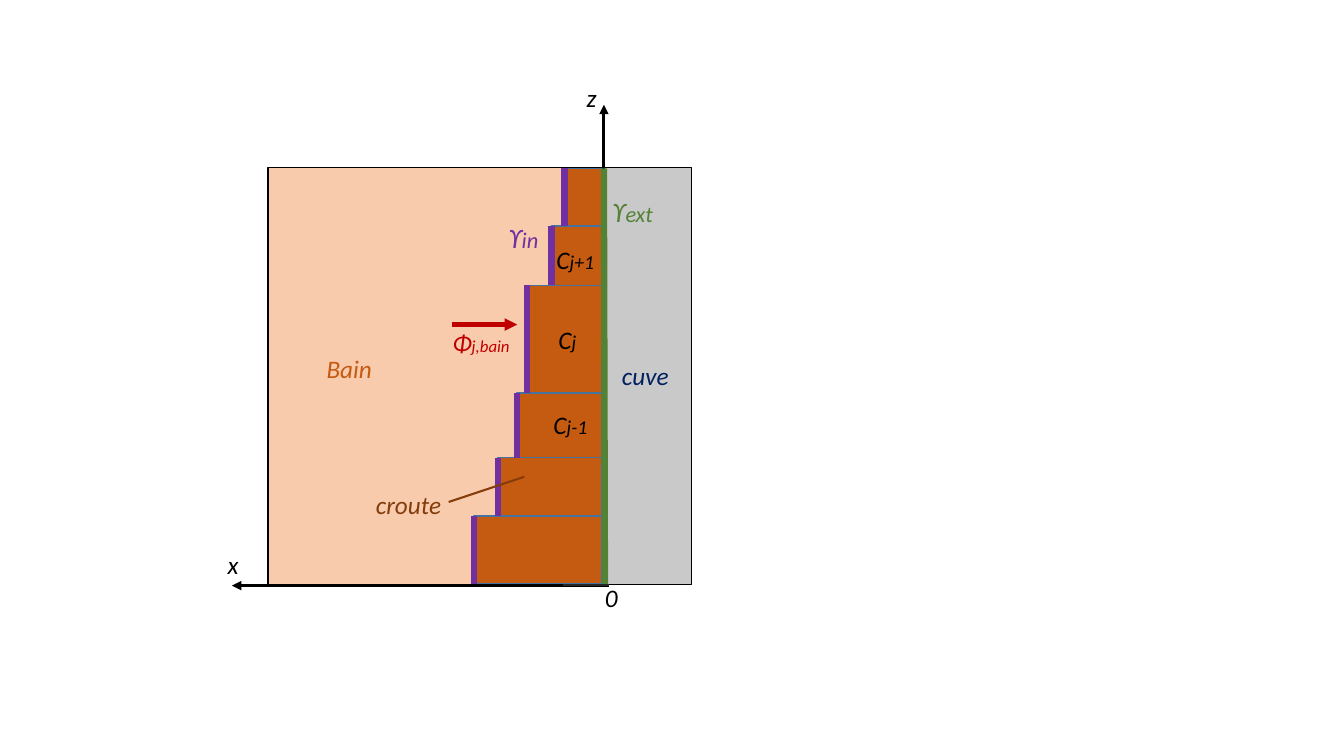
"""Build the slide showing the stepped crust between the bath and the tank wall."""
from itertools import pairwise

from lxml import etree
from pptx import Presentation
from pptx.dml.color import RGBColor
from pptx.enum import shapes, text
from pptx.oxml.ns import qn
from pptx.util import Inches, Pt

COLORS = {
    "black": "000000", "axis_end": "262626", "bath": "F8CBAD", "tank": "C9C9C9",
    "crust": "C55A11", "crust_edge": "43739E", "inner": "7030A0", "outer": "548235",
    "flux": "C00000", "tank_text": "002060", "crust_text": "843C0B",
}

presentation = Presentation()
presentation.slide_width = Inches(13.33)
presentation.slide_height = Inches(7.5)
slide = presentation.slides.add_slide(presentation.slide_layouts[6])


def add_rectangle(left, top, width, height, fill, edge):
    shape = slide.shapes.add_shape(
        shapes.MSO_SHAPE.RECTANGLE, Inches(left), Inches(top), Inches(width), Inches(height))
    shape.shadow.inherit = False
    shape.fill.solid()
    shape.fill.fore_color.rgb = RGBColor.from_string(COLORS[fill])
    shape.line.color.rgb = RGBColor.from_string(COLORS[edge])
    shape.line.width = Pt(1)


def add_line(start, end, color, width, arrow=False):
    line = slide.shapes.add_connector(
        shapes.MSO_CONNECTOR.STRAIGHT, *(Inches(value) for value in (*start, *end)))
    line.line.color.rgb = RGBColor.from_string(COLORS[color])
    line.line.width = Pt(width)
    properties = line._element.spPr
    if arrow:
        etree.SubElement(properties.find(qn("a:ln")), qn("a:tailEnd"), type="triangle")
    etree.SubElement(properties, qn("a:effectLst"))


add_rectangle(2.66, 1.66, 3.33, 4.14, "bath", "black")

crust_right, crust_bottom = 5.97, 5.79
steps = [(5.6, 1.67), (5.47, 2.24), (5.23, 2.83), (5.13, 3.9), (4.94, 4.54), (4.7, 5.12)]
spans = list(pairwise(steps + [(crust_right, crust_bottom)]))
for (left, top), (_, bottom) in spans:
    add_rectangle(left, top, crust_right - left, bottom - top, "crust", "crust_edge")

add_rectangle(5.99, 1.66, 0.87, 4.14, "tank", "black")
add_line((6.04, 5.81), (2.3, 5.81), "black", 2.25, arrow=True)
add_line((5.99, 5.8), (5.99, 1.04), "black", 2.25, arrow=True)
add_line((4.48, 3.22), (5.13, 3.22), "flux", 3, arrow=True)

for (left, top), (_, bottom) in spans:
    add_line((left, top), (left, bottom), "inner", 4.5)

add_line((5.99, 1.67), (6, 5.81), "outer", 4.5)
add_line((5.58, 5.8), (6.04, 5.8), "axis_end", 1.5)
add_line((4.45, 4.98), (5.2, 4.73), "crust_text", 1.5)
add_line((6.11, 1.66), (4.67, 1.66), "black", 1)

labels = [
    (5.72, 0.77, 0.53, 0.4, "black", [("z", 18)]),
    (2.16, 5.4, 0.53, 0.4, "black", [("x", 18)]),
    (5.9, 5.73, 0.53, 0.4, "black", [("0", 18)]),
    (4.39, 3.2, 0.95, 0.4, "flux", [("Φ", 18), ("j,bain", 12), (" ", 18)]),
    (3.14, 3.46, 0.79, 0.4, "crust", [("Bain", 18)]),
    (6.07, 3.53, 0.79, 0.4, "tank_text", [("cuve", 18)]),
    (3.63, 4.81, 1.06, 0.4, "crust_text", [("croute", 18)]),
    (4.94, 2.14, 0.88, 0.44, "inner", [("ϒ", 20), ("in", 16)]),
    (5.97, 1.88, 0.88, 0.44, "outer", [("ϒ", 20), ("ext", 16)]),
    (5.44, 3.17, 0.79, 0.4, "black", [("C", 18), ("j", 14)]),
    (5.42, 2.37, 0.79, 0.4, "black", [("C", 18), ("j+1", 14)]),
    (5.39, 4.01, 0.79, 0.4, "black", [("C", 18), ("j-1", 14)]),
]
for left, top, width, height, color, runs in labels:
    label = slide.shapes.add_textbox(Inches(left), Inches(top), Inches(width), Inches(height))
    label.text_frame.word_wrap = True
    label.text_frame.auto_size = text.MSO_AUTO_SIZE.SHAPE_TO_FIT_TEXT
    paragraph = label.text_frame.paragraphs[0]
    for wording, size in runs:
        run = paragraph.add_run()
        run.text = wording
        run.font.name = "Calibri"
        run.font.size = Pt(size)
        run.font.italic = True
        run.font.color.rgb = RGBColor.from_string(COLORS[color])

presentation.save("out.pptx")
